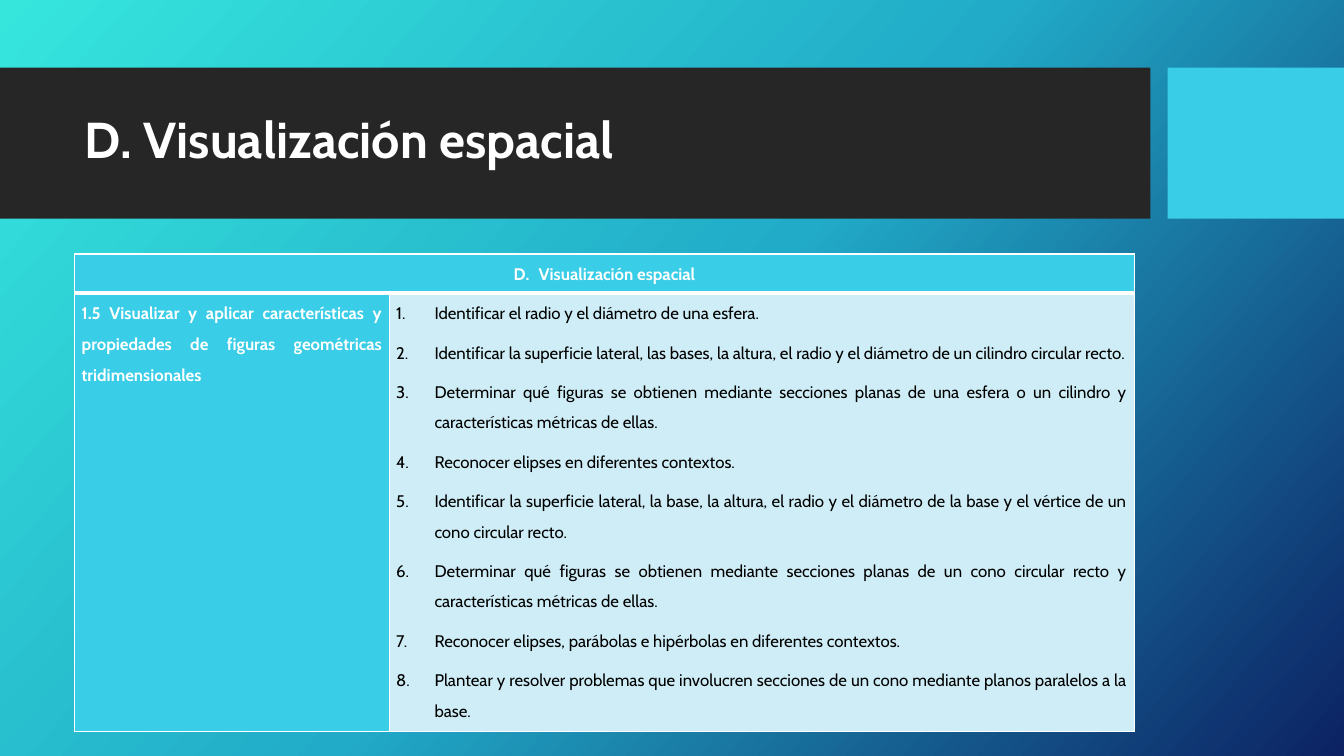
"""Build the slide on spatial visualization skills."""
from dataclasses import dataclass

from lxml.etree import SubElement
from pptx import Presentation
from pptx.dml.color import RGBColor as Rgb
from pptx.enum.shapes import MSO_SHAPE as Preset
from pptx.enum.text import MSO_ANCHOR as Anchor, PP_ALIGN as Align
from pptx.oxml import parse_xml
from pptx.oxml.ns import nsdecls, qn
from pptx.util import Inches, Pt


@dataclass(frozen=True)
class Theme:
    font: str = "Cabin"
    title_size: int = 36
    body_size: int = 12
    white: str = "FFFFFF"
    black: str = "000000"
    band: str = "262626"
    accent: str = "39CDE7"
    pale: str = "CEEDF6"
    gradient: tuple = ((0, "36E6DD"), (50, "21ABC8"), (100, "0C2263"))
    gradient_angle: int = 42


theme = Theme()
skills = [
    "Identificar el radio y el diámetro de una esfera.",
    "Identificar la superficie lateral, las bases, la altura, el radio y el diámetro de un cilindro circular recto.",
    "Determinar qué figuras se obtienen mediante secciones planas de una esfera o un cilindro y características métricas de ellas.",
    "Reconocer elipses en diferentes contextos.",
    "Identificar la superficie lateral, la base, la altura, el radio y el diámetro de la base y el vértice de un cono circular recto.",
    "Determinar qué figuras se obtienen mediante secciones planas de un cono circular recto y características métricas de ellas.",
    "Reconocer elipses, parábolas e hipérbolas en diferentes contextos.",
    "Plantear y resolver problemas que involucren secciones de un cono mediante planos paralelos a la base.",
]


def style_text(paragraph, size, color, bold, line_spacing):
    paragraph.line_spacing = line_spacing
    for run in paragraph.runs:
        run.font.name = theme.font
        run.font.size = Pt(size)
        run.font.bold = bold
        run.font.color.rgb = Rgb.from_string(color)


def number_paragraph(paragraph, indent, scheme, start):
    properties = paragraph._p.get_or_add_pPr()
    properties.set("marL", str(Inches(indent)))
    properties.set("indent", str(-Inches(indent)))
    SubElement(properties, qn("a:buFont"), typeface="+mj-lt")
    SubElement(properties, qn("a:buAutoNum"), type=scheme, startAt=str(start))


deck = Presentation()
deck.slide_width, deck.slide_height = Inches(13.33), Inches(7.5)
slide = deck.slides.add_slide(deck.slide_layouts[6])

slide.background.fill.gradient()
gradient = slide.element.find(".//" + qn("a:gradFill"))
for part in list(gradient):
    gradient.remove(part)
stops = SubElement(gradient, qn("a:gsLst"))
for position, color in theme.gradient:
    stop = SubElement(stops, qn("a:gs"), pos=str(position * 1000))
    SubElement(stop, qn("a:srgbClr"), val=color)
SubElement(gradient, qn("a:lin"), ang=str(theme.gradient_angle * 60000), scaled="0")

for left, width, color in ((0, 11.41, theme.band), (11.58, 1.75, theme.accent)):
    bar = slide.shapes.add_shape(
        Preset.RECTANGLE, Inches(left), Inches(0.67), Inches(width), Inches(1.5))
    bar.shadow.inherit = False
    bar.fill.solid()
    bar.fill.fore_color.rgb = Rgb.from_string(color)
    bar.line.fill.background()

title = slide.shapes.add_textbox(
    Inches(0.74), Inches(0.82), Inches(10.51), Inches(1.18)).text_frame
title.word_wrap = True
title.vertical_anchor = Anchor.MIDDLE
title.text = "D. Visualización espacial"
style_text(title.paragraphs[0], theme.title_size, theme.white, True, 0.9)

table = slide.shapes.add_table(
    2, 2, Inches(0.74), Inches(2.52), Inches(10.51), Inches(4.74)).table
table.columns[0].width, table.columns[1].width = Inches(3.12), Inches(7.39)
table.rows[0].height, table.rows[1].height = Inches(0.39), Inches(4.35)
heading, heading_rest = table.cell(0, 0), table.cell(0, 1)
standard, skill_list = table.cell(1, 0), table.cell(1, 1)
heading.merge(heading_rest)

heading.text_frame.text = "Visualización espacial"
standard.text_frame.text = ("1.5 Visualizar y aplicar características y propiedades "
                            "de figuras geométricas tridimensionales")
skill_list.text_frame.text = "\n".join(skills)

for cell, fill, color, bold, align in (
    (heading, theme.accent, theme.white, True, Align.CENTER),
    (heading_rest, theme.accent, theme.white, True, Align.CENTER),
    (standard, theme.accent, theme.white, True, Align.JUSTIFY),
    (skill_list, theme.pale, theme.black, False, Align.JUSTIFY),
):
    cell.margin_left = cell.margin_right = Inches(0.07)
    cell.margin_top = cell.margin_bottom = 0
    cell.fill.solid()
    cell.fill.fore_color.rgb = Rgb.from_string(fill)
    for paragraph in cell.text_frame.paragraphs:
        paragraph.alignment = align
        paragraph.space_before = paragraph.space_after = Pt(3)
        style_text(paragraph, theme.body_size, color, bold, 1.5)
    thick_side = "B" if cell in (heading, heading_rest) else "T"
    for order, side in enumerate("LRTB"):
        weight = Pt(3 if side == thick_side else 1)
        cell._tc.get_or_add_tcPr().insert(order, parse_xml(
            f'<a:ln{side} {nsdecls("a")} w="{weight}"><a:solidFill>'
            f'<a:srgbClr val="{theme.white}"/></a:solidFill></a:ln{side}>'))

number_paragraph(heading.text_frame.paragraphs[0], 0.25, "alphaUcPeriod", 4)
for paragraph in skill_list.text_frame.paragraphs:
    number_paragraph(paragraph, 0.38, "arabicPeriod", 1)

deck.save("out.pptx")
